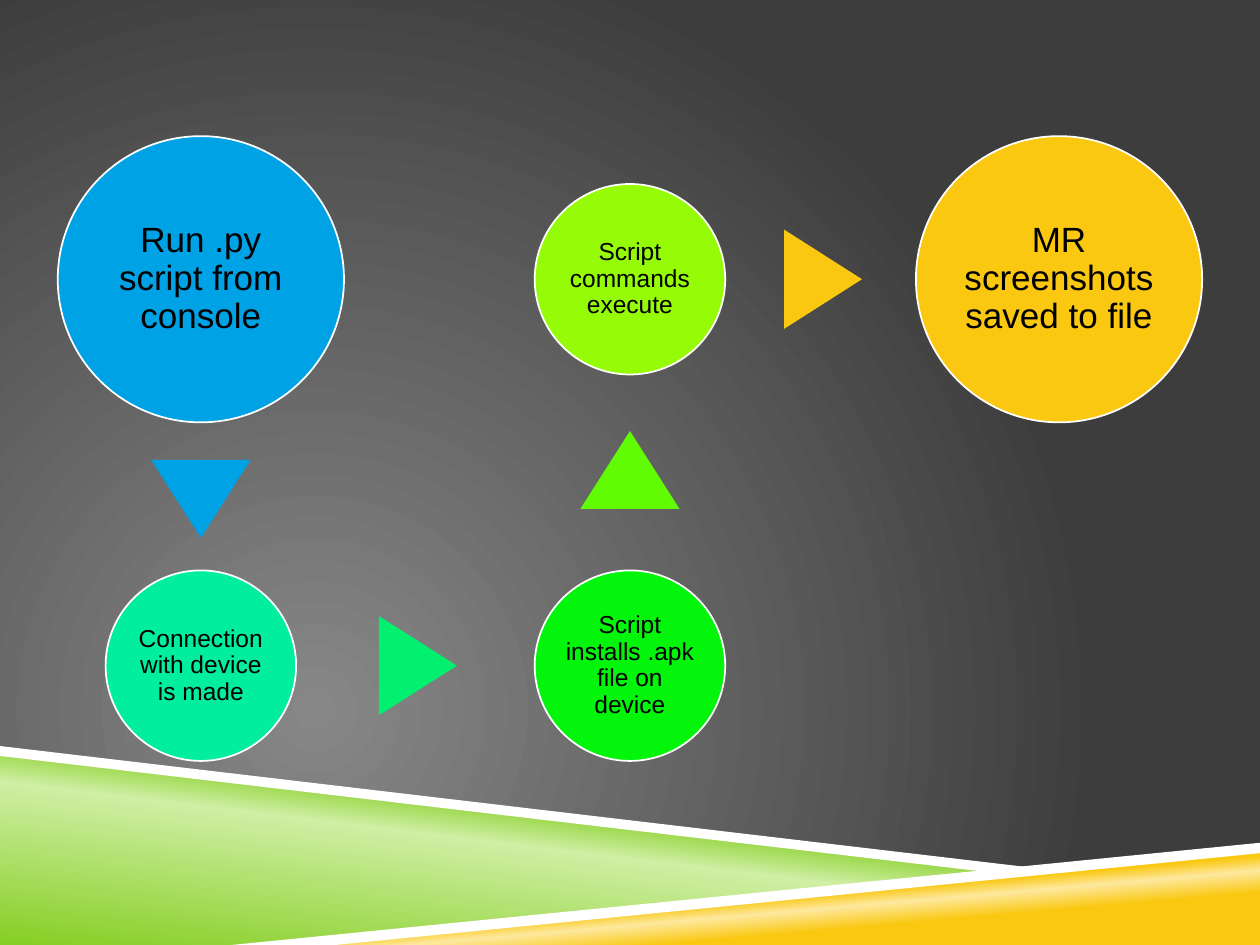
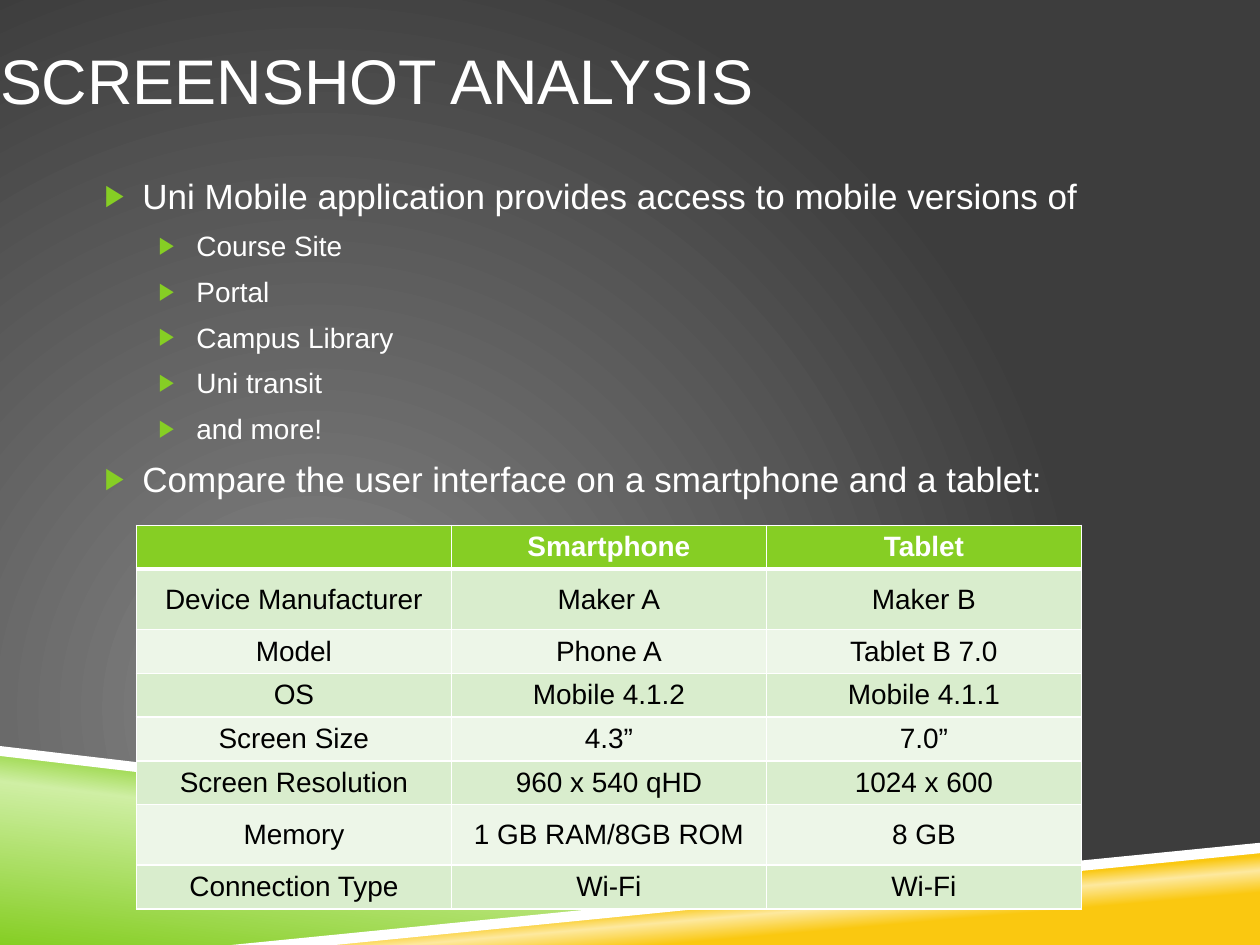
from dataclasses import dataclass

from lxml.etree import SubElement
from pptx import Presentation
from pptx.dml.color import RGBColor
from pptx.enum.shapes import MSO_SHAPE as Preset
from pptx.enum.text import MSO_ANCHOR as Anchor, MSO_AUTO_SIZE as AutoSize, PP_ALIGN as Align
from pptx.oxml import parse_xml
from pptx.oxml.ns import nsdecls, qn
from pptx.util import Cm, Pt

FONT = "Arial"
WHITE, BLACK = "FFFFFF", "000000"
GREEN, PALE_GREEN = "86CE24", "CFEFA4"
AMBER, PALE_AMBER = "FAC810", "FDE99F"
BLUE = "00A2E6"
ROW_FILLS = ("EDF6E8", "D9EDCD")

Stops = tuple[tuple[int, str], ...]


@dataclass(frozen=True)
class Band:
    """A polygon at the foot of every slide; points in centimetres."""
    points: tuple[tuple[float, float], ...]
    stops: Stops = ()
    angle: int = 0


@dataclass(frozen=True)
class Step:
    """A circle of the process, and the colour of the arrow leaving it."""
    text: str
    x: float
    y: float
    diameter: float
    size: int
    color: str
    arrow_color: str = ""


BANDS = (
    Band(((0, 15.16), (20.12, 17.58), (5.08, 19.05), (0, 19.05)),
         ((0, GREEN), (52, PALE_GREEN), (66, GREEN)), 277),
    Band(((5.03, 19.05), (25.4, 17.07), (25.4, 19.05)),
         ((28, AMBER), (40, PALE_AMBER), (48, AMBER)), 265),
    Band(((0, 15.04), (0, 15.24), (20.07, 17.6), (21.13, 17.53))),
    Band(((25.4, 16.99), (4.67, 19.05), (6.76, 19.05), (25.4, 17.2))),
)

LEFT, MIDDLE, RIGHT = 4.05, 12.7, 21.35
UPPER, LOWER = 5.63, 13.42
LARGE, SMALL = 5.77, 3.84
ARROW_WIDTH, ARROW_HEIGHT, ARROW_SHIFT = 2.0, 1.57, 0.05
ARROW_ROTATION = {(0, -1): 0, (1, 0): 90, (0, 1): 180}

STEPS = (
    Step("Run .py script from console", LEFT, UPPER, LARGE, 20, BLUE, BLUE),
    Step("Connection with device is made", LEFT, LOWER, SMALL, 14, "01EE9F", "02F06F"),
    Step("Script installs .apk file on device", MIDDLE, LOWER, SMALL, 14, "03F50C", "61FB03"),
    Step("Script commands execute", MIDDLE, UPPER, SMALL, 14, "96FB06", AMBER),
    Step("MR screenshots saved to file", RIGHT, UPPER, LARGE, 20, AMBER),
)

BULLETS = (
    (0, "Uni Mobile application provides access to mobile versions of"),
    (1, "Course Site"),
    (1, "Portal"),
    (1, "Campus Library"),
    (1, "Uni transit"),
    (1, "and more!"),
    (0, "Compare the user interface on a smartphone and a tablet:"),
)
BULLET_LEFT, BULLET_HANG = (0.97, 2.06), 0.76

DEVICES = (
    ("", "Smartphone", "Tablet"),
    ("Device Manufacturer", "Maker A", "Maker B"),
    ("Model", "Phone A", "Tablet B 7.0"),
    ("OS", "Mobile 4.1.2", "Mobile 4.1.1"),
    ("Screen Size", "4.3”", "7.0”"),
    ("Screen Resolution", "960 x 540 qHD", "1024 x 600"),
    ("Memory", "1 GB RAM/8GB ROM", "8 GB"),
    ("Connection Type", "Wi-Fi", "Wi-Fi"),
)
ROW_HEIGHTS = (0.71, 1.22, 0.76, 0.76, 0.76, 0.76, 1.22, 0.76)


def rgb(color: str) -> RGBColor:
    return RGBColor.from_string(color)


def set_solid(fill, color: str) -> None:
    fill.solid()
    fill.fore_color.rgb = rgb(color)


def set_gradient(owner, fill, stops: Stops, direction: str) -> None:
    """Fill with stops; direction is the XML of the linear or circular course."""
    fill.gradient()
    marks = "".join(f'<a:gs pos="{position * 1000}"><a:srgbClr val="{color}"/></a:gs>'
                    for position, color in stops)
    gradient = owner.find(".//" + qn("a:gradFill"))
    gradient.getparent().replace(gradient, parse_xml(
        f'<a:gradFill {nsdecls("a")} rotWithShape="1"><a:gsLst>{marks}</a:gsLst>'
        f'{direction}</a:gradFill>'))


def set_font(paragraph, size: int, color: str, bold: bool = False) -> None:
    font = paragraph.font
    font.name, font.size, font.bold = FONT, Pt(size), bold
    font.color.rgb = rgb(color)


def set_insets(frame, horizontal: float, vertical: float) -> None:
    frame.margin_left = frame.margin_right = Cm(horizontal)
    frame.margin_top = frame.margin_bottom = Cm(vertical)


def place(shape, left: float, top: float, width: float, height: float) -> None:
    shape.left, shape.top, shape.width, shape.height = map(Cm, (left, top, width, height))


def add_preset(slide, preset, center: tuple[float, float], width: float, height: float,
               color: str):
    x, y = center
    shape = slide.shapes.add_shape(preset, Cm(x - width / 2), Cm(y - height / 2),
                                   Cm(width), Cm(height))
    shape.shadow.inherit = False
    set_solid(shape.fill, color)
    shape.line.fill.background()
    return shape


def set_up_master(presentation, slide) -> None:
    """Give the master its background and bands, drawn by way of a slide."""
    master = presentation.slide_master
    set_gradient(master.element, master.background.fill, ((0, "878787"), (100, "3D3D3D")),
                 '<a:path path="circle"><a:fillToRect l="50000" t="100000"'
                 ' r="100000" b="50000"/></a:path>')
    for index, band in enumerate(BANDS):
        points = [(Cm(x), Cm(y)) for x, y in band.points]
        builder = slide.shapes.build_freeform(*points[0])
        builder.add_line_segments(points[1:], close=True)
        shape = builder.convert_to_shape()
        shape.shadow.inherit = False
        shape.line.fill.background()
        if band.stops:
            set_gradient(shape.element, shape.fill, band.stops,
                         f'<a:lin ang="{band.angle * 60000}" scaled="0"/>')
        else:
            set_solid(shape.fill, WHITE)
        shape.element.nvSpPr.cNvPr.id = 20 + index
        master.element.cSld.spTree.insert(2 + index, shape.element)


def add_circle(slide, step: Step) -> None:
    circle = add_preset(slide, Preset.OVAL, (step.x, step.y), step.diameter, step.diameter,
                        step.color)
    set_solid(circle.line.fill, WHITE)
    circle.line.width = Pt(1)
    frame = circle.text_frame
    frame.word_wrap = True
    frame.vertical_anchor = Anchor.MIDDLE
    set_insets(frame, 0.06, 0.06)
    paragraph = frame.paragraphs[0]
    paragraph.text = step.text
    paragraph.alignment = Align.CENTER
    paragraph.line_spacing = 0.9
    set_font(paragraph, step.size, BLACK)


def add_arrow(slide, start: Step, end: Step) -> None:
    """Centre a triangle in the gap between two circles, a little forward."""
    across = (end.x > start.x) - (end.x < start.x)
    down = (end.y > start.y) - (end.y < start.y)
    forward = (start.diameter - end.diameter) / 4 + ARROW_SHIFT
    center = ((start.x + end.x) / 2 + across * forward,
              (start.y + end.y) / 2 + down * forward)
    arrow = add_preset(slide, Preset.ISOSCELES_TRIANGLE, center, ARROW_WIDTH, ARROW_HEIGHT,
                       start.arrow_color)
    arrow.rotation = ARROW_ROTATION[across, down]


def add_bullet(paragraph, level: int) -> None:
    properties = paragraph._p.get_or_add_pPr()
    properties.set("marL", str(Cm(BULLET_LEFT[level])))
    properties.set("indent", str(-Cm(BULLET_HANG)))
    color = SubElement(properties, qn("a:buClr"))
    SubElement(color, qn("a:srgbClr"), val=GREEN)
    SubElement(properties, qn("a:buSzPct"), val="85000")
    SubElement(properties, qn("a:buFont"), typeface=FONT)
    SubElement(properties, qn("a:buChar"), char="▶")


def fill_title(title) -> None:
    place(title, 0, 0, 21.59, 3.18)
    frame = title.text_frame
    frame.text = "SCREENSHOT ANALYSIS"
    frame.vertical_anchor = Anchor.MIDDLE
    set_insets(frame, 0, 0.13)
    frame.paragraphs[0].alignment = Align.LEFT
    set_font(frame.paragraphs[0], 36, WHITE)


def fill_body(body) -> None:
    place(body, 1.9, 3.38, 21.39, 8.05)
    frame = body.text_frame
    frame.auto_size = AutoSize.NONE
    set_insets(frame, 0, 0.13)
    frame.text = "\n".join(text for _, text in BULLETS)
    for paragraph, (level, _) in zip(frame.paragraphs, BULLETS):
        paragraph.level = level
        paragraph.space_before = Pt(7)
        add_bullet(paragraph, level)
        set_font(paragraph, 16 if level else 20, WHITE)


def set_borders(cell, top: int, bottom: int) -> None:
    """Draw white borders, 1 point at the sides."""
    widths = {"lnL": 1, "lnR": 1, "lnT": top, "lnB": bottom}
    for index, (tag, width) in enumerate(widths.items()):
        cell._tc.get_or_add_tcPr().insert(index, parse_xml(
            f'<a:{tag} {nsdecls("a")} w="{Pt(width)}"><a:solidFill>'
            f'<a:srgbClr val="{WHITE}"/></a:solidFill></a:{tag}>'))


def add_device_table(slide) -> None:
    table = slide.shapes.add_table(len(DEVICES), len(DEVICES[0]), Cm(2.75), Cm(10.59),
                                   Cm(19.05), Cm(sum(ROW_HEIGHTS))).table
    for row_index, texts in enumerate(DEVICES):
        header = row_index == 0
        table.rows[row_index].height = Cm(ROW_HEIGHTS[row_index])
        for column_index, text in enumerate(texts):
            cell = table.cell(row_index, column_index)
            cell.text = text
            cell.vertical_anchor = Anchor.MIDDLE
            set_solid(cell.fill, GREEN if header else ROW_FILLS[row_index % 2])
            set_borders(cell, top=3 if row_index == 1 else 1, bottom=3 if header else 1)
            paragraph = cell.text_frame.paragraphs[0]
            paragraph.alignment = Align.CENTER
            set_font(paragraph, 16, WHITE if header else BLACK, header)


def main() -> None:
    presentation = Presentation()
    presentation.slide_width, presentation.slide_height = Cm(25.4), Cm(19.05)

    process_slide = presentation.slides.add_slide(presentation.slide_layouts[6])
    set_up_master(presentation, process_slide)
    for step in STEPS:
        add_circle(process_slide, step)
    for start, end in zip(STEPS, STEPS[1:]):
        add_arrow(process_slide, start, end)

    analysis_slide = presentation.slides.add_slide(presentation.slide_layouts[1])
    fill_title(analysis_slide.shapes.title)
    fill_body(analysis_slide.placeholders[1])
    add_device_table(analysis_slide)

    presentation.save("out.pptx")


if __name__ == "__main__":
    main()
